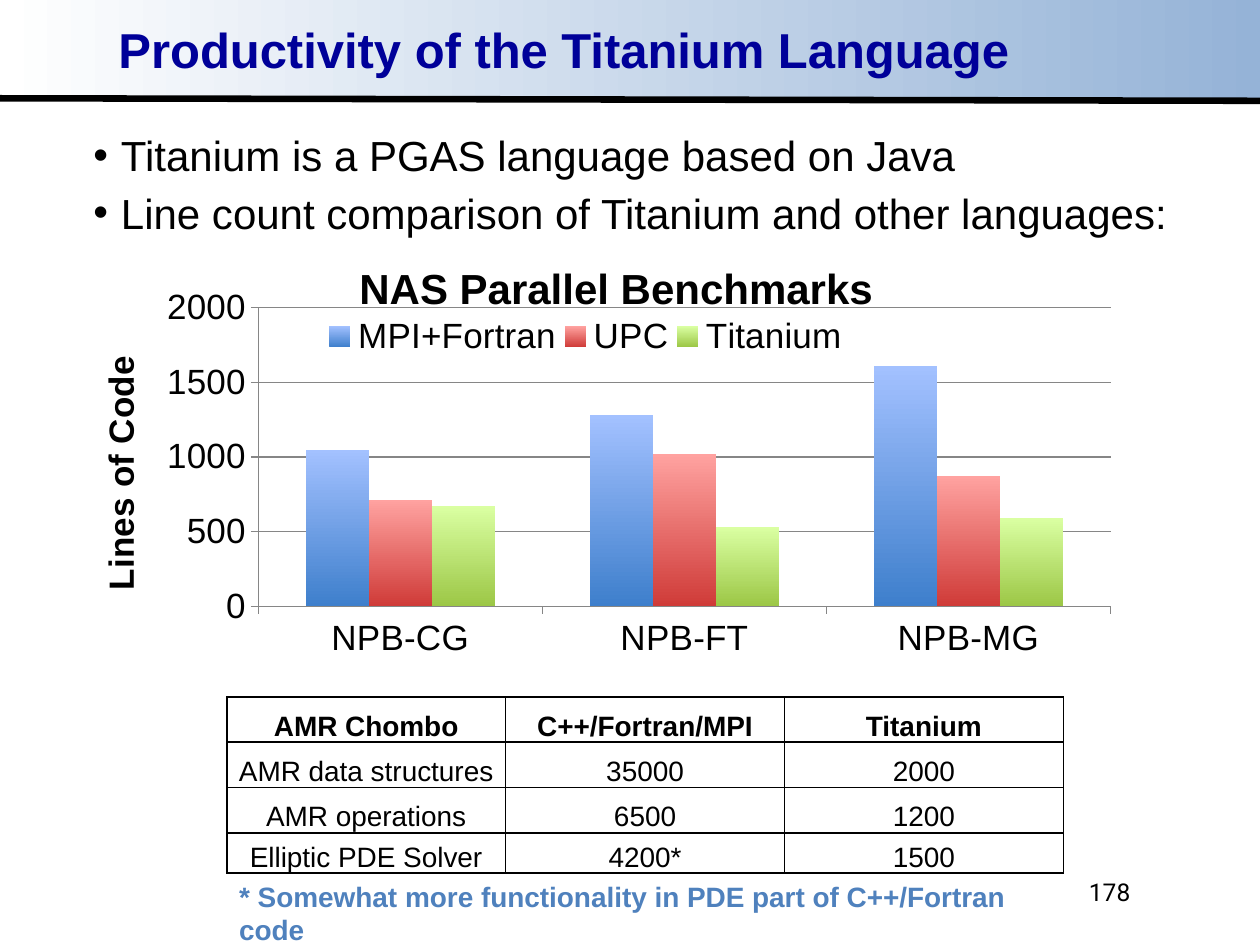
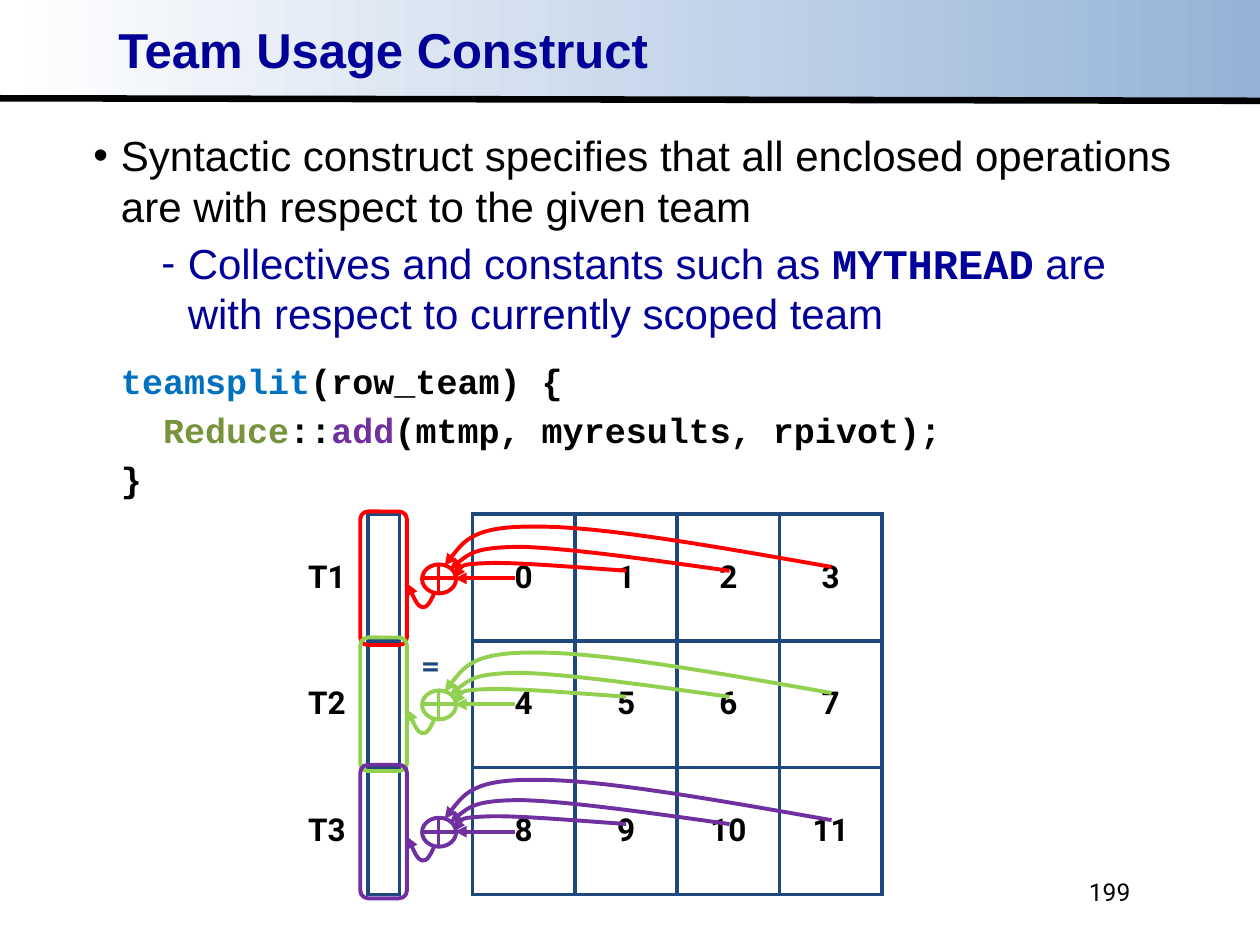
from lxml import etree
from pptx import Presentation
from pptx.chart.data import CategoryChartData
from pptx.dml.color import RGBColor
from pptx.enum.chart import XL_CHART_TYPE, XL_LEGEND_POSITION
from pptx.enum.shapes import MSO_CONNECTOR, MSO_SHAPE
from pptx.enum.text import MSO_ANCHOR, MSO_AUTO_SIZE, PP_ALIGN
from pptx.oxml.ns import qn
from pptx.util import Inches, Pt

LEFT, CENTER, RIGHT = PP_ALIGN.LEFT, PP_ALIGN.CENTER, PP_ALIGN.RIGHT
TOP, MIDDLE, BOTTOM = MSO_ANCHOR.TOP, MSO_ANCHOR.MIDDLE, MSO_ANCHOR.BOTTOM
STRAIGHT = MSO_CONNECTOR.STRAIGHT

BLACK = RGBColor(0x00, 0x00, 0x00)
WHITE = RGBColor(0xFF, 0xFF, 0xFF)
GRAY = RGBColor(0x86, 0x86, 0x86)
BAND_BLUE = RGBColor(0x95, 0xB3, 0xD7)
NAVY = RGBColor(0x00, 0x00, 0x99)
DARK_BLUE = RGBColor(0x1F, 0x49, 0x7D)
NOTE_BLUE = RGBColor(0x4F, 0x81, 0xBD)
CODE_BLUE = RGBColor(0x00, 0x70, 0xC0)
CODE_GREEN = RGBColor(0x77, 0x93, 0x3C)
PURPLE = RGBColor(0x70, 0x30, 0xA0)
RED = RGBColor(0xFF, 0x00, 0x00)
GREEN = RGBColor(0x92, 0xD0, 0x50)

TITLE_FONT = dict(name="Arial", size=Pt(28), bold=True, color=NAVY)
BODY_FONT = dict(name="Arial", size=Pt(24), bold=False, color=BLACK)
SUB_FONT = {**BODY_FONT, "color": NAVY}
MONO_FONT = {**SUB_FONT, "name": "Courier New", "bold": True}
CODE_FONT = {**MONO_FONT, "size": Pt(20), "color": BLACK}
NUMBER_FONT = dict(name="Roboto", size=Pt(14), bold=False, color=BLACK)
GRID_FONT = {**NUMBER_FONT, "size": Pt(18), "bold": True}
TABLE_FONT = {**BODY_FONT, "size": Pt(16)}
NOTE_FONT = dict(name="Arial", size=Pt(16), bold=True, color=NOTE_BLUE)
EQUALS_FONT = dict(name="Calibri", size=Pt(20), bold=True, color=DARK_BLUE)

# Paragraph kinds: left margin, first-line indent, bullet
BULLET, DASH, CODE = (0.22, -0.22, "•"), (0.75, -0.21, "-"), (0.22, 0, None)

# Content: kind, points before, spans
PRODUCTIVITY_BODY = [
    (BULLET, 0, [("Titanium is a PGAS language based on Java", BODY_FONT)]),
    (BULLET, 4, [("Line count comparison of Titanium and other languages:", BODY_FONT)]),
]
TEAM_BODY = [
    (BULLET, 0, [("Syntactic construct specifies that all enclosed operations "
                  "are with respect to the given team", BODY_FONT)]),
    (DASH, 4, [("Collectives and constants such as ", SUB_FONT), ("MYTHREAD", MONO_FONT),
               (" are with respect to currently scoped team", SUB_FONT)]),
    (CODE, 12, [("teamsplit", {**CODE_FONT, "color": CODE_BLUE}), ("(row_team) {", CODE_FONT)]),
    (CODE, 4, [("  Reduce", {**CODE_FONT, "color": CODE_GREEN}), ("::", CODE_FONT),
               ("add", {**CODE_FONT, "color": PURPLE}),
               ("(mtmp, myresults, rpivot);", CODE_FONT)]),
    (CODE, 4, [("}", CODE_FONT)]),
]
BENCHMARKS = ["NPB-CG", "NPB-FT", "NPB-MG"]
# Language, lines of code, bottom and top colour of its columns
LINE_COUNTS = [
    ("MPI+Fortran", (1050, 1280, 1610), RGBColor(0x3E, 0x7F, 0xCC), RGBColor(0xA3, 0xC1, 0xFF)),
    ("UPC", (710, 1020, 870), RGBColor(0xCF, 0x3B, 0x38), RGBColor(0xFF, 0xA2, 0xA0)),
    ("Titanium", (670, 530, 590), RGBColor(0x9C, 0xC7, 0x46), RGBColor(0xDA, 0xFF, 0xA2)),
]
CHOMBO_ROWS = [
    ("AMR Chombo", "C++/Fortran/MPI", "Titanium"),
    ("AMR data structures", "35000", "2000"),
    ("AMR operations", "6500", "1200"),
    ("Elliptic PDE Solver", "4200*", "1500"),
]
THREADS = [[str(4 * row + column) for column in range(4)] for row in range(3)]
TEAMS = [("T1", RED, 0), ("T2", GREEN, 1), ("T3", PURPLE, 2.01)]

# Bezier points of the arrows of the first team: start, then threes
ARROW_CURVES = [
    [(4.97, 4.53), (4.53, 4.5), (4.08, 4.46), (3.86, 4.47), (3.63, 4.48), (3.62, 4.54), (3.6, 4.59)],
    [(5.79, 4.53), (5.15, 4.44), (4.51, 4.35), (4.14, 4.34), (3.77, 4.34), (3.67, 4.43), (3.57, 4.52)],
    [(6.6, 4.5), (5.69, 4.34), (4.79, 4.18), (4.28, 4.18), (3.76, 4.17), (3.65, 4.33), (3.53, 4.49)],
    [(3.45, 4.7), (3.42, 4.77), (3.39, 4.83), (3.35, 4.82), (3.31, 4.81), (3.23, 4.63), (3.23, 4.63)],
]
# Start, end, whether it has an arrowhead
TEAM_LINES = [
    ((4.09, 4.59), (3.61, 4.59), True),
    ((3.48, 4.48), (3.48, 4.71), False),
    ((3.35, 4.59), (3.61, 4.59), False),
]
TEAM_OUTLINES = [
    (MSO_SHAPE.ROUNDED_RECTANGLE, (2.86, 4.06, 0.37, 1.06)),
    (MSO_SHAPE.OVAL, (3.35, 4.48, 0.27, 0.23)),
]


# Text
def format_font(font, look):
    for key, value in look.items():
        if key == "color":
            font.color.rgb = value
        else:
            setattr(font, key, value)


def add_span(para, text, look):
    span = para.add_run()
    span.text = text
    format_font(span.font, look)


def set_frame(frame, anchor, margins):
    sides = zip(("margin_left", "margin_top", "margin_right", "margin_bottom"), margins)
    settings = {side: Inches(size) for side, size in sides}
    settings.update(word_wrap=True, auto_size=MSO_AUTO_SIZE.NONE, vertical_anchor=anchor)
    for key, value in settings.items():
        setattr(frame, key, value)


def place(shape, at):
    for key, value in zip(("left", "top", "width", "height"), at):
        setattr(shape, key, Inches(value))


def add_text(shapes, at, text, look, align=LEFT, anchor=TOP):
    box = shapes.add_textbox(*map(Inches, at))
    set_frame(box.text_frame, anchor, (0.1, 0.05, 0.1, 0.05))
    para = box.text_frame.paragraphs[0]
    para.alignment = align
    add_span(para, text, look)


# Lines and curves
def style_line(shape, color, width, arrow=False):
    shape.line.color.rgb = color
    shape.line.width = Pt(width)
    if arrow:
        etree.SubElement(shape.line._get_or_add_ln(), qn("a:tailEnd"), type="triangle")


def add_line(shapes, start, end, color, width, arrow=False):
    line = shapes.add_connector(STRAIGHT, *map(Inches, start + end))
    style_line(line, color, width, arrow)
    etree.SubElement(line._element.spPr, qn("a:effectLst"))
    return line


def add_curve(shapes, points, color):
    corners = [(Inches(x), Inches(y)) for x, y in points]
    builder = shapes.build_freeform(*corners[0], scale=1.0)
    builder.add_line_segments(corners[1:], close=False)
    curve = builder.convert_to_shape()
    curve.shadow.inherit = False
    curve.fill.background()
    style_line(curve, color, 2.25, arrow=True)
    # Each three straight steps become one Bezier step
    outline = curve._element.find(".//" + qn("a:path"))
    steps = outline.findall(qn("a:lnTo"))
    for first in range(0, len(steps), 3):
        bezier = etree.SubElement(outline, qn("a:cubicBezTo"))
        for step in steps[first:first + 3]:
            bezier.append(step[0])
            outline.remove(step)


def fill_gradient(fill, angle, colors):
    fill.gradient()
    fill.gradient_angle = angle
    for stop, color in zip(fill.gradient_stops, colors):
        stop.color.rgb = color


# Shared page parts
def add_page(deck, title, body, body_height, number):
    page = deck.slides.add_slide(deck.slide_layouts[1])
    heading, content = page.placeholders
    place(heading, (0.87, 0.19, 8.54, 0.48))
    place(content, (0.67, 1, 8.75, body_height))
    for holder in (heading, content):
        set_frame(holder.text_frame, TOP, (0.07, 0.03, 0.07, 0.03))
    para = heading.text_frame.paragraphs[0]
    para.alignment, para.line_spacing = LEFT, 0.87
    add_span(para, title, TITLE_FONT)
    for index, ((margin, indent, bullet), before, spans) in enumerate(body):
        frame = content.text_frame
        para = frame.add_paragraph() if index else frame.paragraphs[0]
        para.level = int(bullet == "-")
        para.space_before = Pt(before)
        props = para._p.get_or_add_pPr()
        props.set("marL", str(Inches(margin)))
        props.set("indent", str(Inches(indent)))
        if bullet:
            etree.SubElement(props, qn("a:buChar"), char=bullet)
        else:
            etree.SubElement(props, qn("a:buNone"))
        for text, look in spans:
            add_span(para, text, look)
    add_text(page.shapes, (7.17, 6.83, 1.9, 0.5), number, NUMBER_FONT, RIGHT, MIDDLE)
    return page


def add_master_band(deck, page):
    band = page.shapes.add_shape(MSO_SHAPE.RECTANGLE, 0, 0, Inches(10), Inches(0.8))
    band.shadow.inherit = False
    band.line.fill.background()
    fill_gradient(band.fill, 180, (BAND_BLUE, WHITE))
    rule = add_line(page.shapes, (0, 0.78), (10, 0.8), BLACK, 3.75)
    tree = deck.slide_master.shapes._spTree
    for index, part in enumerate((band, rule), start=2):
        tree.insert(index, part._element)


def add_grid(page, at, rows, heights, look, anchor, margins, border=None, header=False):
    columns = len(rows[0])
    table = page.shapes.add_table(len(rows), columns, *map(Inches, at)).table
    table.first_row = table.horz_banding = False
    for column in table.columns:
        column.width = Inches(at[2] / columns)
    for index, (texts, height) in enumerate(zip(rows, heights)):
        table.rows[index].height = Inches(height)
        for cell, text in zip(table.rows[index].cells, texts):
            cell.vertical_anchor = anchor
            for side, size in zip(("left", "top", "right", "bottom"), margins):
                setattr(cell, "margin_" + side, Inches(size))
            para = cell.text_frame.paragraphs[0]
            para.alignment = CENTER
            if text:
                add_span(para, text, {**look, "bold": True} if header and not index else look)
            props = cell._tc.get_or_add_tcPr()
            for side in ("a:lnL", "a:lnR", "a:lnT", "a:lnB"):
                edge = etree.SubElement(props, qn(side))
                if border:
                    color, width = border
                    edge.set("w", str(Pt(width)))
                    solid = etree.SubElement(edge, qn("a:solidFill"))
                    etree.SubElement(solid, qn("a:srgbClr"), val=str(color))
                else:
                    etree.SubElement(edge, qn("a:noFill"))
            cell.fill.background()


# Chart
def set_layout(parent, index, inner=False, **sizes):
    for old in parent.findall(qn("c:layout")):
        parent.remove(old)
    layout = etree.Element(qn("c:layout"))
    manual = etree.SubElement(layout, qn("c:manualLayout"))
    if inner:
        etree.SubElement(manual, qn("c:layoutTarget"), val="inner")
    for axis in ("x", "y"):
        etree.SubElement(manual, qn("c:" + axis + "Mode"), val="edge")
    for key, value in sizes.items():
        etree.SubElement(manual, qn("c:" + key), val=str(value))
    parent.insert(index, layout)


def add_line_count_chart(page):
    data = CategoryChartData()
    data.categories = BENCHMARKS
    for name, counts, _, _ in LINE_COUNTS:
        data.add_series(name, counts)
    chart = page.shapes.add_chart(XL_CHART_TYPE.COLUMN_CLUSTERED,
                                  *map(Inches, (0.73, 1.84, 8.25, 3.54)), data).chart
    label_font = {**BODY_FONT, "size": Pt(20)}
    format_font(chart.font, label_font)
    plot = chart.plots[0]
    plot.gap_width, plot.overlap, plot.vary_by_categories = 150, 0, False
    for series, (_, _, bottom, top) in zip(plot.series, LINE_COUNTS):
        series.invert_if_negative = False
        fill_gradient(series.format.fill, 90, (bottom, top))
    values = chart.value_axis
    values.minimum_scale, values.maximum_scale, values.major_unit = 0, 2000, 500
    for part in (values, chart.category_axis, values.major_gridlines):
        part.format.line.color.rgb = GRAY
    chart.has_title = chart.has_legend = True
    for heading, text, size in ((chart.chart_title, "NAS Parallel Benchmarks", 24),
                                (values.axis_title, "Lines of Code", 20)):
        add_span(heading.text_frame.paragraphs[0], text,
                 {**label_font, "size": Pt(size), "bold": True})
    chart.legend.position = XL_LEGEND_POSITION.TOP
    chart.legend.include_in_layout = True
    format_font(chart.legend.font, label_font)
    set_layout(chart.chart_title._element, 1, x=0.25, y=0.05)
    set_layout(chart.legend._element, 1, x=0.22, y=0.19, w=0.51, h=0.09)
    set_layout(plot._element.getparent(), 0, inner=True, x=0.16, y=0.17, w=0.82, h=0.67)


# Reduction of one row of threads
def add_team(page, color, drop):
    shapes = page.shapes.add_group_shape().shapes
    for kind, (left, top, width, height) in TEAM_OUTLINES:
        outline = shapes.add_shape(kind, *map(Inches, (left, top + drop, width, height)))
        outline.shadow.inherit = False
        outline.fill.background()
        style_line(outline, color, 2.25)
    for (x1, y1), (x2, y2), arrow in TEAM_LINES:
        add_line(shapes, (x1, y1 + drop), (x2, y2 + drop), color, 2.25, arrow)
    for points in ARROW_CURVES:
        add_curve(shapes, [(x, y + drop) for x, y in points], color)


def main():
    deck = Presentation()
    deck.slide_width, deck.slide_height = Inches(10), Inches(7.5)

    # Productivity
    page = add_page(deck, "Productivity of the Titanium Language", PRODUCTIVITY_BODY, 0.92, "178")
    add_master_band(deck, page)
    add_line_count_chart(page)
    add_grid(page, (1.8, 5.53, 6.64, 1.39), CHOMBO_ROWS, (0.36, 0.36, 0.36, 0.32), TABLE_FONT,
             BOTTOM, (0.01, 0.01, 0.01, 0), (BLACK, 1), header=True)
    add_text(page.shapes, (1.8, 6.93, 6.6, 0.37),
             "* Somewhat more functionality in PDE part of C++/Fortran code", NOTE_FONT)

    # Team usage
    page = add_page(deck, "Team Usage Construct", TEAM_BODY, 3.01, "199")
    border = (DARK_BLUE, 2.25)
    for left, width, rows, edge in ((2.92, 0.25, [[""]] * 3, border),
                                    (3.75, 3.25, THREADS, border),
                                    (2.27, 0.65, [[team[0]] for team in TEAMS], None)):
        add_grid(page, (left, 4.08, width, 3.02), rows, [3.02 / 3] * 3, GRID_FONT,
                 MIDDLE, (0.1, 0.05, 0.1, 0.05), edge)
    add_text(page.shapes, (3.25, 5.06, 0.42, 0.64), "=", EQUALS_FONT)
    for _, color, drop in TEAMS:
        add_team(page, color, drop)
    deck.save("out.pptx")


if __name__ == "__main__":
    main()
